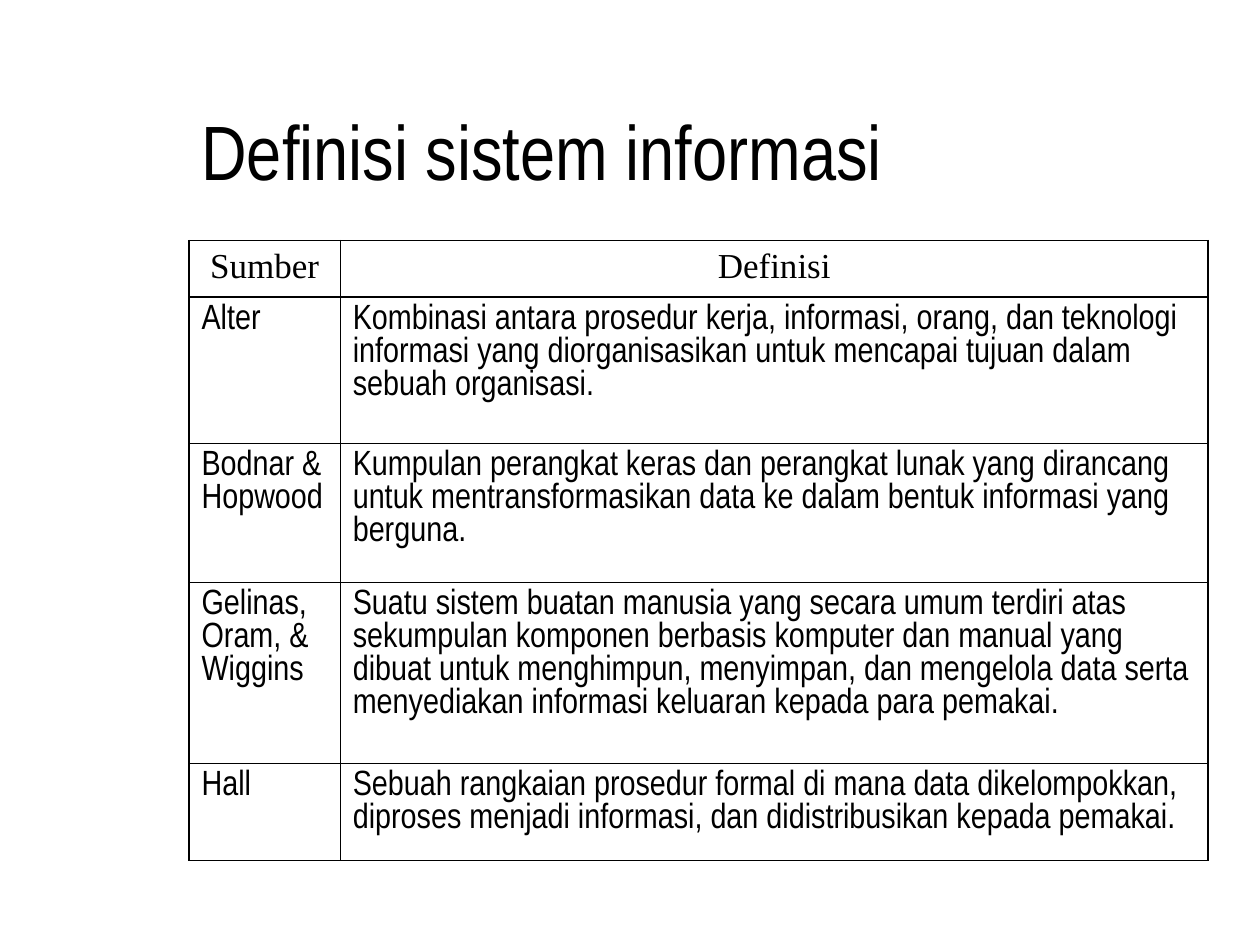
from lxml.etree import SubElement
from pptx import Presentation
from pptx.dml.color import RGBColor
from pptx.enum.text import MSO_ANCHOR, PP_ALIGN
from pptx.oxml.ns import qn
from pptx.util import Inches, Pt

BLACK = RGBColor(0x00, 0x00, 0x00)
SANS = "Arial Narrow"
SERIF = "Times New Roman"
THIN, OUTER, HEADER_RULE = 0.45, 1.08, 1.47

LEFT, WIDTH = 1.5, 8.08
COLUMN_WIDTHS = [1.2, 6.89]
ROW_HEIGHTS = [0.45, 1.16, 1.1, 1.44, 0.77]
DEFINITIONS = [
    ("Sumber", "Definisi"),
    ("Alter", "Kombinasi antara prosedur kerja, informasi, orang, dan teknologi "
     "informasi yang diorganisasikan untuk mencapai tujuan dalam sebuah organisasi."),
    ("Bodnar & Hopwood", "Kumpulan perangkat keras dan perangkat lunak yang dirancang "
     "untuk mentransformasikan data ke dalam bentuk informasi yang berguna."),
    ("Gelinas, Oram, & Wiggins", "Suatu sistem buatan manusia yang secara umum terdiri "
     "atas sekumpulan komponen berbasis komputer dan manual yang dibuat untuk menghimpun, "
     "menyimpan, dan mengelola data serta menyediakan informasi keluaran kepada para pemakai."),
    ("Hall", "Sebuah rangkaian prosedur formal di mana data dikelompokkan, diproses "
     "menjadi informasi, dan didistribusikan kepada pemakai."),
]


def write(frame, text, size=20, font=SANS, color=BLACK, align=PP_ALIGN.LEFT, before=0):
    paragraph = frame.paragraphs[0]
    paragraph.alignment = align
    paragraph.space_before = Pt(before)
    run = paragraph.add_run()
    run.text = text
    run.font.size = Pt(size)
    run.font.name = font
    run.font.bold = False
    run.font.color.rgb = color


class SlideBuilder:
    def __init__(self, slide, rule_color=BLACK):
        self.slide = slide
        self.rule_color = rule_color

    def title(self, text, left, top, width, height):
        heading = self.slide.shapes.add_textbox(
            Inches(left), Inches(top), Inches(width), Inches(height))
        frame = heading.text_frame
        frame.word_wrap = True
        frame.vertical_anchor = MSO_ANCHOR.MIDDLE
        write(frame, text, size=44)

    def borders(self, cell, **widths):
        properties = cell._tc.get_or_add_tcPr()
        for side, width in widths.items():
            line = SubElement(properties, qn(f"a:ln{side}"), w=str(int(Pt(width))))
            fill = SubElement(line, qn("a:solidFill"))
            SubElement(fill, qn("a:srgbClr"), val=str(self.rule_color))

    def table(self, rows, left, top, column_widths, row_heights):
        grid = self.slide.shapes.add_table(
            len(rows), len(column_widths), Inches(left), Inches(top),
            Inches(sum(column_widths)), Inches(sum(row_heights))).table
        grid.first_row = grid.horz_banding = False
        for column, width in zip(grid.columns, column_widths):
            column.width = Inches(width)
        for row, height in zip(grid.rows, row_heights):
            row.height = Inches(height)

        # Horizontal and vertical rules, from first edge to last
        across = [OUTER, HEADER_RULE] + [THIN] * (len(rows) - 2) + [OUTER]
        down = [OUTER] + [THIN] * (len(column_widths) - 1) + [OUTER]
        for r, texts in enumerate(rows):
            header = r == 0
            for c, text in enumerate(texts):
                cell = grid.cell(r, c)
                self.borders(cell, L=down[c], R=down[c + 1], T=across[r], B=across[r + 1])
                cell.fill.background()
                write(cell.text_frame, text, before=5,
                      font=SERIF if header else SANS,
                      align=PP_ALIGN.CENTER if header else PP_ALIGN.LEFT)


def main():
    deck = Presentation()
    deck.slide_width, deck.slide_height = Inches(10), Inches(7.5)
    builder = SlideBuilder(deck.slides.add_slide(deck.slide_layouts[6]))

    # Heading
    builder.title("Definisi sistem informasi", LEFT, 0.67, WIDTH, 1.03)

    # Sources and their definitions
    builder.table(DEFINITIONS, LEFT, 1.91, COLUMN_WIDTHS, ROW_HEIGHTS)

    deck.save("out.pptx")


if __name__ == "__main__":
    main()
